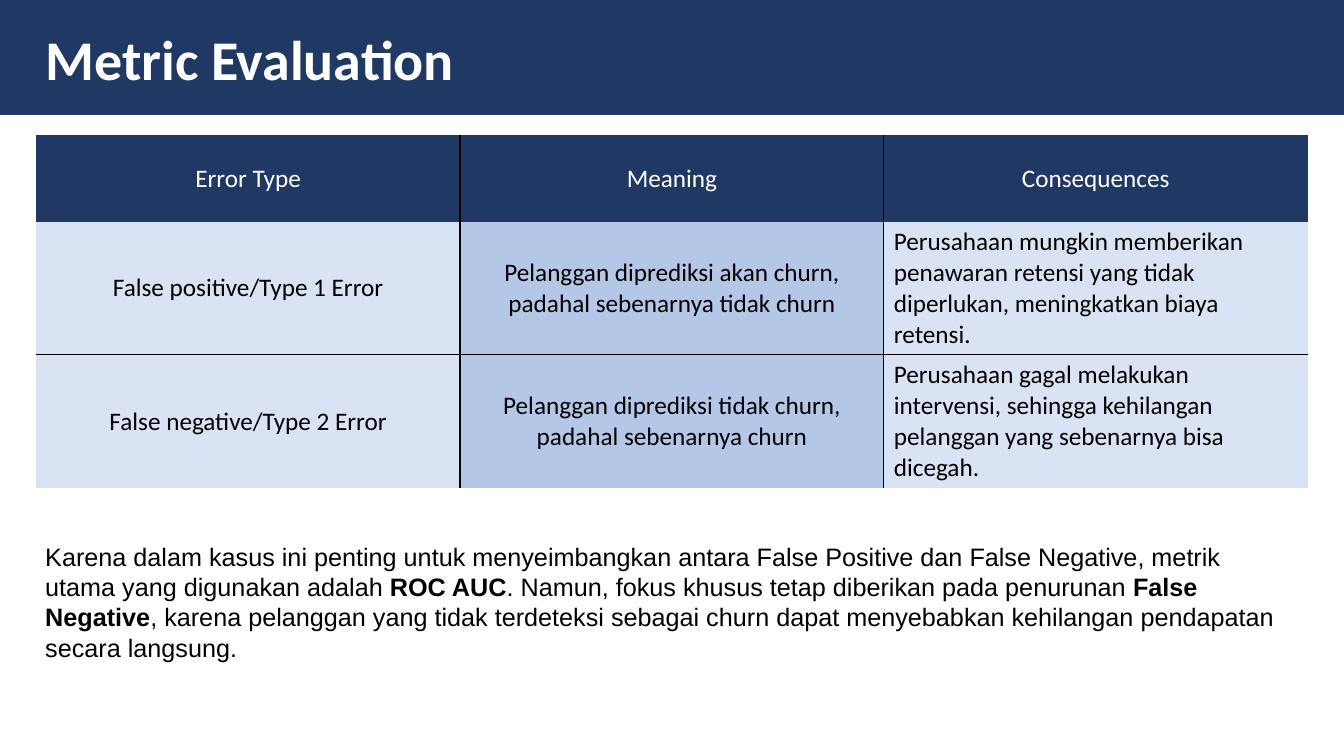
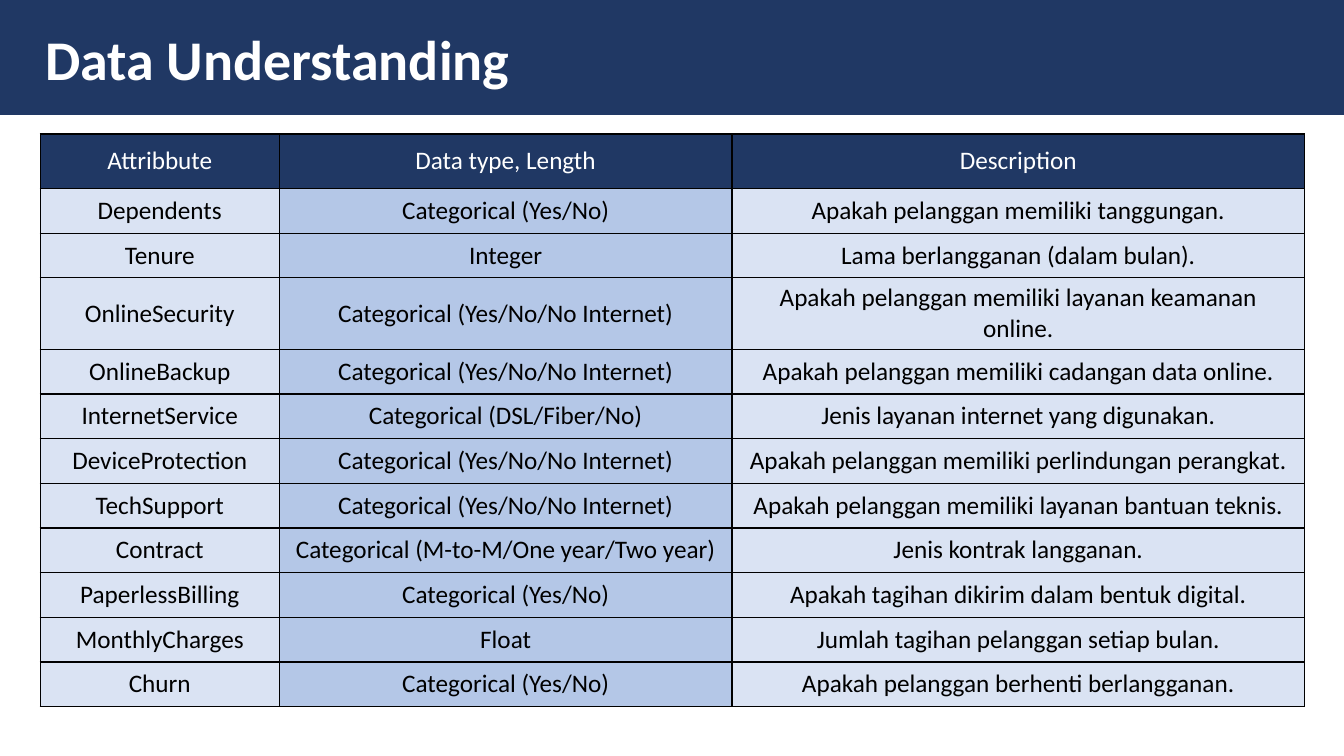
from lxml import etree
from pptx import Presentation
from pptx.dml.color import RGBColor
from pptx.enum.shapes import MSO_SHAPE
from pptx.enum.text import MSO_ANCHOR, MSO_AUTO_SIZE, PP_ALIGN
from pptx.oxml.ns import qn
from pptx.util import Inches, Pt

RECTANGLE = MSO_SHAPE.RECTANGLE
MIDDLE, TOP = MSO_ANCHOR.MIDDLE, MSO_ANCHOR.TOP
FIXED = MSO_AUTO_SIZE.NONE
LEFT, CENTER = PP_ALIGN.LEFT, PP_ALIGN.CENTER

PAGE_WIDTH, PAGE_HEIGHT = 13.33, 7.5
BAND_HEIGHT = 1.14
TEXT_LEFT, TEXT_WIDTH = 0.35, 12.61
NAVY, MID_BLUE, PALE_BLUE = "203864", "B4C7E7", "DAE3F3"
WHITE, BLACK = "FFFFFF", "000000"
COLUMN_FILLS = (PALE_BLUE, MID_BLUE, PALE_BLUE)
TABLE_FONT, BODY_FONT = "Calibri", "Arial"
PLAIN_TABLE_STYLE = "{2D5ABB26-0587-4C30-8999-92F81FD0307C}"

ERROR_ROWS = (
    ("Error Type", "Meaning", "Consequences"),
    ("False positive/Type 1 Error",
     "Pelanggan diprediksi akan churn, padahal sebenarnya tidak churn",
     "Perusahaan mungkin memberikan penawaran retensi yang tidak diperlukan, "
     "meningkatkan biaya retensi."),
    ("False negative/Type 2 Error",
     "Pelanggan diprediksi tidak churn, padahal sebenarnya churn",
     "Perusahaan gagal melakukan intervensi, sehingga kehilangan pelanggan "
     "yang sebenarnya bisa dicegah."),
)
METRIC_SPANS = (
    ("Karena dalam kasus ini penting untuk menyeimbangkan antara False Positive "
     "dan False Negative, metrik utama yang digunakan adalah ", False),
    ("ROC AUC", True),
    (". Namun, fokus khusus tetap diberikan pada penurunan ", False),
    ("False Negative", True),
    (", karena pelanggan yang tidak terdeteksi sebagai churn dapat menyebabkan "
     "kehilangan pendapatan secara langsung.", False),
)
YES_NO = "Categorical (Yes/No)"
YES_NO_INTERNET = "Categorical (Yes/No/No Internet)"
ATTRIBUTE_ROWS = (
    ("Attribbute", "Data type, Length", "Description"),
    ("Dependents", YES_NO, "Apakah pelanggan memiliki tanggungan."),
    ("Tenure", "Integer", "Lama berlangganan (dalam bulan)."),
    ("OnlineSecurity", YES_NO_INTERNET,
     "Apakah pelanggan memiliki layanan keamanan online."),
    ("OnlineBackup", YES_NO_INTERNET,
     "Apakah pelanggan memiliki cadangan data online."),
    ("InternetService", "Categorical (DSL/Fiber/No)",
     "Jenis layanan internet yang digunakan."),
    ("DeviceProtection", YES_NO_INTERNET,
     "Apakah pelanggan memiliki perlindungan perangkat."),
    ("TechSupport", YES_NO_INTERNET,
     "Apakah pelanggan memiliki layanan bantuan teknis."),
    ("Contract", "Categorical (M-to-M/One year/Two year)",
     "Jenis kontrak langganan."),
    ("PaperlessBilling", YES_NO, "Apakah tagihan dikirim dalam bentuk digital."),
    ("MonthlyCharges", "Float", "Jumlah tagihan pelanggan setiap bulan."),
    ("Churn", YES_NO, "Apakah pelanggan berhenti berlangganan."),
)


def paint(fill, color):
    """Make a fill solid in a hex colour."""
    fill.solid()
    fill.fore_color.rgb = RGBColor.from_string(color)


def add_span(para, text, size, font, color, bold=False):
    """Append one formatted run to a paragraph."""
    span = para.add_run()
    span.text = text
    span.font.size = Pt(size)
    span.font.name = font
    span.font.bold = bold
    paint(span.font.fill, color)


def prepare_frame(frame, anchor):
    """Set wrapping and anchoring, and return the first paragraph."""
    frame.word_wrap = True
    frame.auto_size = FIXED
    frame.vertical_anchor = anchor
    para = frame.paragraphs[0]
    para.alignment = LEFT
    return para


def add_titled_page(deck, text):
    """Add a title-only page with the navy band behind its title."""
    page = deck.slides.add_slide(deck.slide_layouts[5])
    band = page.shapes.add_shape(
        RECTANGLE, 0, 0, deck.slide_width, Inches(BAND_HEIGHT))
    band.shadow.inherit = False
    paint(band.fill, NAVY)
    band.line.fill.background()
    title = page.shapes.title
    title.element.addprevious(band.element)
    title.left, title.top = Inches(TEXT_LEFT), Inches(0.19)
    title.width, title.height = Inches(PAGE_WIDTH / 2), Inches(0.77)
    para = prepare_frame(title.text_frame, MIDDLE)
    add_span(para, text, 40, TABLE_FONT, WHITE, True)
    return page


def add_body(page, top, height, spans):
    """Add a full-width paragraph of plain and bold runs."""
    box = page.shapes.add_textbox(
        Inches(TEXT_LEFT), Inches(top), Inches(TEXT_WIDTH), Inches(height))
    para = prepare_frame(box.text_frame, TOP)
    for text, bold in spans:
        add_span(para, text, 18, BODY_FONT, BLACK, bold)


def draw_borders(cell, sides):
    """Draw one-point black lines on the chosen sides of a cell."""
    properties = cell._tc.get_or_add_tcPr()
    for side in sides:
        line = etree.SubElement(properties, qn(f"a:ln{side}"), w=str(Pt(1)))
        fill = etree.SubElement(line, qn("a:solidFill"))
        etree.SubElement(fill, qn("a:srgbClr"), val=BLACK)


def inner_sides(row, column, last_row, last_column):
    """List the sides that divide columns and body rows."""
    rules = (("L", column > 0), ("R", column < last_column),
             ("T", row > 1), ("B", 0 < row < last_row))
    return [side for side, drawn in rules if drawn]


def add_grid(page, left, top, widths, heights, rows, framed, last_align):
    """Add a table with a navy header and blue-tinted columns."""
    shape = page.shapes.add_table(
        len(rows), len(widths), Inches(left), Inches(top),
        Inches(sum(widths)), Inches(sum(heights)))
    table = shape.table
    table.horz_banding = False
    table._tbl.tblPr.find(qn("a:tableStyleId")).text = PLAIN_TABLE_STYLE
    for column, width in zip(table.columns, widths):
        column.width = Inches(width)
    for row, height in zip(table.rows, heights):
        row.height = Inches(height)
    last_row, last_column = len(rows) - 1, len(widths) - 1
    for row, texts in enumerate(rows):
        for column, text in enumerate(texts):
            cell = table.cell(row, column)
            sides = "LRTB" if framed else inner_sides(
                row, column, last_row, last_column)
            draw_borders(cell, sides)
            paint(cell.fill, COLUMN_FILLS[column] if row else NAVY)
            cell.vertical_anchor = MIDDLE
            para = cell.text_frame.paragraphs[0]
            para.alignment = last_align if row and column == last_column else CENTER
            add_span(para, text, 18, TABLE_FONT, BLACK if row else WHITE)


def add_metric_page(deck):
    """Build the page on error types and the chosen metric."""
    page = add_titled_page(deck, "Metric Evaluation")
    add_grid(page, 0.36, 1.34, [TEXT_WIDTH / 3] * 3, [0.86, 1.3, 1.3],
             ERROR_ROWS, False, LEFT)
    add_body(page, 5.32, 1.31, METRIC_SPANS)


def add_data_page(deck):
    """Build the page that lists the data attributes."""
    page = add_titled_page(deck, "Data Understanding")
    header, double = 0.54, 0.7
    single = (5.67 - header - double) / (len(ATTRIBUTE_ROWS) - 2)
    heights = [header] + [single] * 2 + [double] + [single] * 8
    add_grid(page, 0.4, 1.33, [2.37, 4.49, 5.68], heights,
             ATTRIBUTE_ROWS, True, CENTER)


def main():
    """Build and save the deck."""
    deck = Presentation()
    deck.slide_width, deck.slide_height = Inches(PAGE_WIDTH), Inches(PAGE_HEIGHT)
    add_metric_page(deck)
    add_data_page(deck)
    deck.save("out.pptx")


if __name__ == "__main__":
    main()
